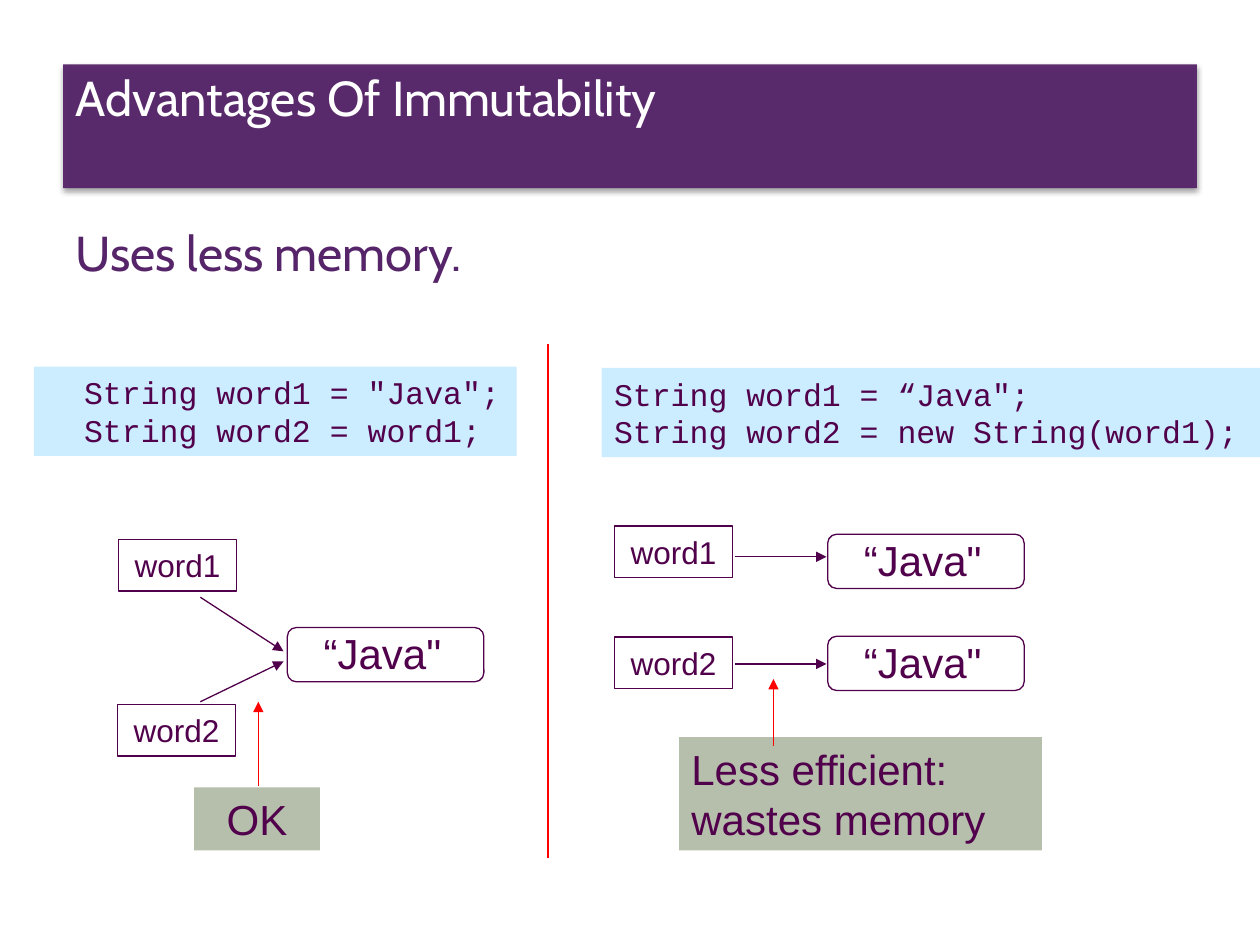
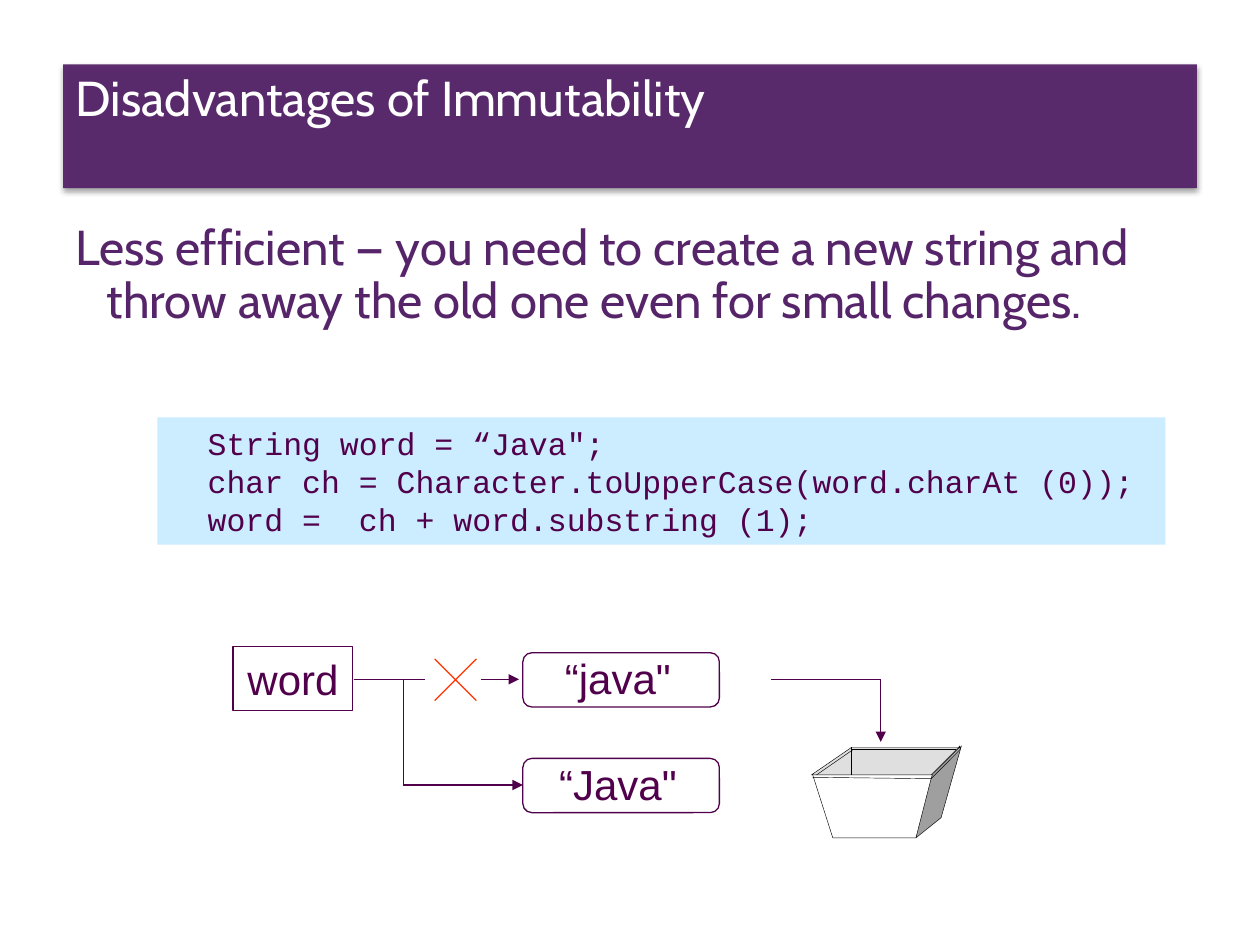
import pptx
import pptx.dml.color
import pptx.enum.shapes
import pptx.enum.text
import pptx.oxml
import pptx.oxml.ns
import pptx.util
from lxml import etree

Pt = pptx.util.Pt
SHAPES = pptx.enum.shapes.MSO_SHAPE
ALIGN = pptx.enum.text.PP_ALIGN
ANCHOR = pptx.enum.text.MSO_ANCHOR
qn = pptx.oxml.ns.qn

COLORS = {
    "band": "562469",
    "ink": "51004B",
    "code": "CCECFF",
    "note": "B6BFAC",
    "white": "FFFFFF",
    "red": "FF0000",
    "cross": "FF3300",
    "black": "000000",
    "bin floor": "DFDFDF",
    "bin side": "9F9F9F",
}
HEADING_FONT, LABEL_FONT, CODE_FONT = "Cabin", "Arial", "Courier New"
BAND_SHADOW = (
    f"<a:effectLst {pptx.oxml.ns.nsdecls('a')}>"
    '<a:outerShdw blurRad="40000" dist="20000" dir="5400000" rotWithShape="0">'
    '<a:srgbClr val="000000"><a:alpha val="38000"/></a:srgbClr>'
    "</a:outerShdw></a:effectLst>"
)


def rgb(name):
    return pptx.dml.color.RGBColor.from_string(COLORS[name])


class Deck:
    """Holds the presentation, its style and the slide being drawn."""

    def __init__(self):
        self.presentation = pptx.Presentation()
        self.presentation.slide_width = Pt(720)
        self.presentation.slide_height = Pt(540)
        self.slide = None

    def add_slide(self, title):
        self.slide = self.presentation.slides.add_slide(self.presentation.slide_layouts[5])
        band = self.slide.shapes.title
        band.left, band.top, band.width, band.height = Pt(36), Pt(36.8), Pt(648), Pt(70.7)
        self.paint(band, "band", None)
        color = band._element.spPr.find(qn("a:solidFill"))[0]
        etree.SubElement(color, qn("a:alpha")).set("val", "95000")
        band._element.spPr.append(pptx.oxml.parse_xml(BAND_SHADOW))
        self.set_text(band, [title], HEADING_FONT, 28, "white", insets=(7.2, 0, 7.2, 3.6))
        band.text_frame.vertical_anchor = ANCHOR.TOP
        band.text_frame.paragraphs[0].line_spacing = 1.05

    def paint(self, shape, fill, line, weight=0.75):
        """Set fill and line; None leaves that part out."""
        if fill:
            shape.fill.solid()
            shape.fill.fore_color.rgb = rgb(fill)
        else:
            shape.fill.background()
        if line:
            shape.line.color.rgb = rgb(line)
            shape.line.width = Pt(weight)
        else:
            shape.line.fill.background()

    def set_text(self, shape, lines, font, size, color, align=ALIGN.LEFT,
                 insets=(7.2, 3.6, 7.2, 3.6)):
        frame = shape.text_frame
        frame.word_wrap = True
        frame.auto_size = pptx.enum.text.MSO_AUTO_SIZE.NONE
        frame.margin_left, frame.margin_top, frame.margin_right, frame.margin_bottom = map(Pt, insets)
        for number, line in enumerate(lines):
            paragraph = frame.add_paragraph() if number else frame.paragraphs[0]
            paragraph.text = line
            paragraph.alignment = align
            paragraph.font.name = font
            paragraph.font.size = Pt(size)
            paragraph.font.color.rgb = rgb(color)

    def statement(self, text, line_spacing=1.0):
        """Add the main sentence with a hanging indent."""
        shape = self.slide.shapes.add_textbox(Pt(36), Pt(123.8), Pt(648), Pt(397.4))
        self.set_text(shape, [text], HEADING_FONT, 28, "band")
        paragraph = shape.text_frame.paragraphs[0]
        paragraph.line_spacing = line_spacing
        properties = paragraph._p.get_or_add_pPr()
        properties.set("marL", str(Pt(18)))
        properties.set("indent", str(-Pt(18)))

    def shape(self, kind, left, top, width, height, fill, line):
        shape = self.slide.shapes.add_shape(kind, Pt(left), Pt(top), Pt(width), Pt(height))
        shape.shadow.inherit = False
        self.paint(shape, fill, line)
        shape.text_frame.vertical_anchor = ANCHOR.MIDDLE
        return shape

    def code(self, left, top, width, height, lines):
        shape = self.shape(SHAPES.RECTANGLE, left, top, width, height, "code", None)
        self.set_text(shape, lines, CODE_FONT, 18, "ink")

    def variable(self, left, top, name, width=67.7, height=29.5, size=18):
        shape = self.shape(SHAPES.RECTANGLE, left, top, width, height, None, "ink")
        self.set_text(shape, [name], LABEL_FONT, size, "ink", ALIGN.CENTER)

    def string_object(self, left, top, text):
        shape = self.shape(SHAPES.ROUNDED_RECTANGLE, left, top, 112.3, 31, None, "ink")
        self.set_text(shape, [text], LABEL_FONT, 24, "ink", ALIGN.CENTER, (0, 0, 3.6, 2))

    def note(self, left, top, width, height, text, align=ALIGN.LEFT):
        shape = self.shape(SHAPES.RECTANGLE, left, top, width, height, "note", None)
        self.set_text(shape, [text], LABEL_FONT, 24, "ink", align)

    def line(self, start, end, color="ink", weight=0.75, arrow=False):
        connector = self.slide.shapes.add_connector(
            pptx.enum.shapes.MSO_CONNECTOR.STRAIGHT, *map(Pt, (*start, *end)))
        connector.line.color.rgb = rgb(color)
        connector.line.width = Pt(weight)
        properties = connector._element.spPr
        if arrow:
            etree.SubElement(properties.find(qn("a:ln")), qn("a:tailEnd")).set("type", "triangle")
        etree.SubElement(properties, qn("a:effectLst"))

    def arrow(self, start, end, color="ink"):
        self.line(start, end, color, arrow=True)

    def outline(self, points, fill=None, close=False):
        start, *others = [(Pt(x), Pt(y)) for x, y in points]
        builder = self.slide.shapes.build_freeform(*start)
        builder.add_line_segments(others, close=close)
        shape = builder.convert_to_shape()
        shape.shadow.inherit = False
        self.paint(shape, fill, "black", 0.25)

    def waste_bin(self):
        self.outline([(463.7, 442.8), (486.7, 427), (548.6, 427), (532.8, 442.8)],
                     "bin floor", close=True)
        self.outline([(548.6, 427.7), (549.4, 426.2), (537.8, 467.3), (523.4, 478.8),
                      (532.1, 445), (532.8, 442.8)], "bin side")
        self.outline([(464.4, 442.8), (475.9, 478.8), (523.4, 478.8)])
        self.outline([(464.4, 444.2), (532.1, 445), (548.6, 428.4), (548.6, 426.2), (532.1, 442.8)])
        for start, end in (((486.7, 427), (486.7, 442.8)),
                           ((486.7, 428.4), (546.5, 428.4)),
                           ((466.6, 442.8), (487.4, 428.4))):
            self.line(start, end, "black", 0.25)


def add_advantages(deck):
    deck.add_slide("Advantages Of Immutability")
    deck.statement("Uses less memory.")
    deck.line((313.2, 196.6), (313.2, 490.3), "red")

    deck.code(19.4, 209.5, 275.8, 51, ['  String word1 = "Java";', "  String word2 = word1;"])
    deck.variable(67.7, 308.2, "word1")
    deck.variable(67, 402.5, "word2")
    deck.string_object(164.2, 358.6, '“Java"')
    deck.arrow((114.5, 341.3), (162, 372.2))
    deck.arrow((114.5, 401), (162, 378))
    deck.note(110.9, 450, 72, 36, "OK", ALIGN.CENTER)
    deck.arrow((147.6, 449.3), (147.6, 401), "red")

    deck.code(343.8, 210.2, 376.2, 51,
              ['String word1 = “Java";', "String word2 = new String(word1);"])
    for name, variable_top, object_top, arrow_y in (("word1", 300.5, 305.3, 318.2),
                                                    ("word2", 364, 363.6, 379.4)):
        deck.variable(351, variable_top, name)
        deck.string_object(473, object_top, '“Java"')
        deck.arrow((419.8, arrow_y), (472.3, arrow_y))
    deck.note(388, 421.2, 207.4, 64.8, "Less efficient: wastes memory")
    deck.arrow((442, 426.2), (442, 388), "red")


def add_disadvantages(deck):
    deck.add_slide("Disadvantages of Immutability")
    deck.statement("Less efficient — you need to create a new string and throw away "
                   "the old one even for small changes.", 0.9)
    deck.code(90, 238.5, 576, 72.7, [
        '  String word = “Java";',
        "  char ch = Character.toUpperCase(word.charAt (0));",
        "  word =  ch + word.substring (1);",
    ])
    deck.variable(133.2, 369.4, "word", 68.4, 36.7, 24)
    deck.string_object(298.8, 373, '“java"')
    deck.string_object(298.8, 433.4, '“Java"')

    old_y, new_y, branch_x, bin_x = 388.2, 448.6, 230.4, 503.3
    deck.line((202.3, old_y), (242.6, old_y))
    deck.line((248.4, 400.3), (272.2, 376.6), "cross")
    deck.line((248.4, 376.6), (272.2, 400.3), "cross")
    deck.arrow((275, old_y), (296.6, old_y))
    deck.line((branch_x, old_y), (branch_x, new_y))
    deck.arrow((branch_x, new_y), (298.8, new_y))
    deck.line((440.6, old_y), (bin_x, old_y))
    deck.arrow((bin_x, old_y), (bin_x, 424))
    deck.waste_bin()


def main():
    deck = Deck()
    add_advantages(deck)
    add_disadvantages(deck)
    deck.presentation.save("out.pptx")


if __name__ == "__main__":
    main()
